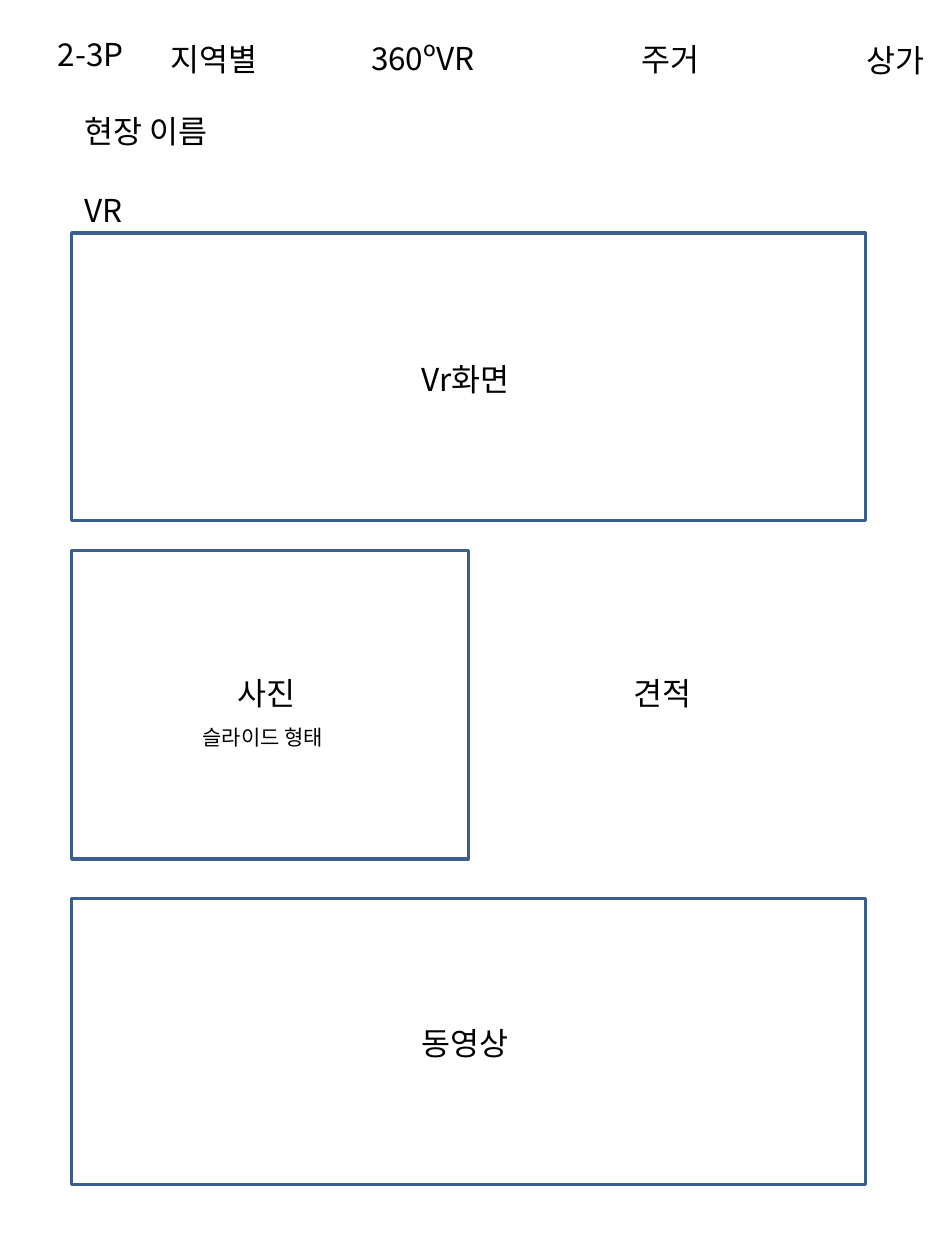
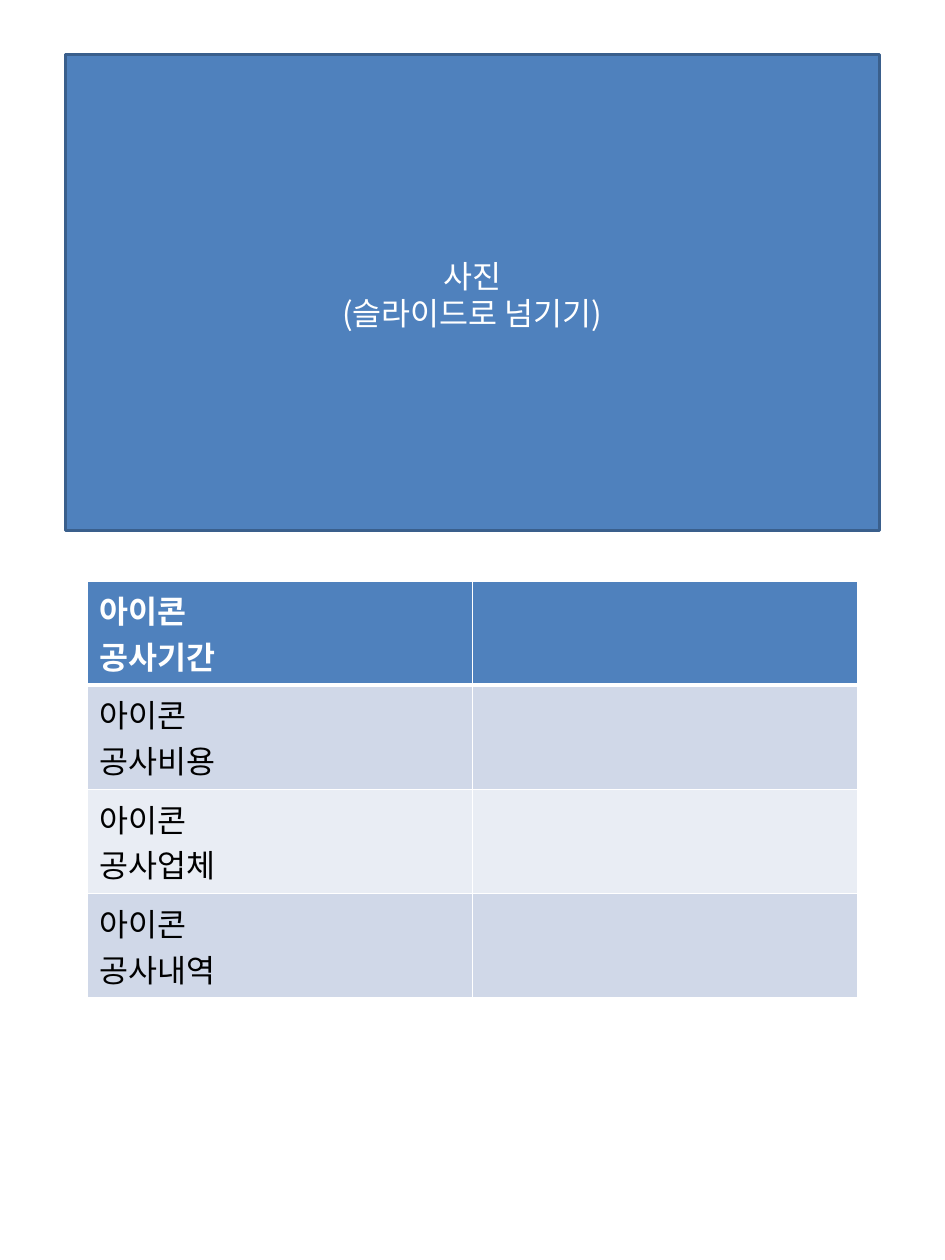
from pptx import Presentation
from pptx.dml.color import RGBColor
from pptx.enum.shapes import MSO_SHAPE
from pptx.enum.text import MSO_ANCHOR, MSO_AUTO_SIZE, PP_ALIGN
from pptx.oxml.ns import qn
from pptx.util import Pt
from lxml.etree import SubElement

FONT = "Noto Sans CJK KR"
BLACK = RGBColor(0x00, 0x00, 0x00)
WHITE = RGBColor(0xFF, 0xFF, 0xFF)
BLUE = RGBColor(0x4F, 0x81, 0xBD)
OUTLINE = RGBColor(0x3A, 0x5F, 0x8C)
BAND_DARK = RGBColor(0xD0, 0xD8, 0xE8)
BAND_LIGHT = RGBColor(0xE9, 0xED, 0xF4)

MARGIN = 41
PANEL_WIDTH = 453.6
LABEL_HEIGHT = 28.8
NAV_WIDTH = 195.1
FRAME_FORMAT = {
    "margin_left": Pt(7.2),
    "margin_right": Pt(7.2),
    "margin_top": Pt(5.6),
    "margin_bottom": Pt(2.4),
}


def write_lines(frame, lines, size=18, color=BLACK, bold=False, align=PP_ALIGN.LEFT, spacing=None):
    for index, line in enumerate(lines):
        paragraph = frame.paragraphs[0] if index == 0 else frame.add_paragraph()
        paragraph.alignment = align
        if spacing:
            paragraph.line_spacing = Pt(spacing)
        run = paragraph.add_run()
        run.text = line
        for key, value in {"name": FONT, "size": Pt(size), "bold": bold}.items():
            setattr(run.font, key, value)
        run.font.color.rgb = color
        SubElement(run.font._element, qn("a:ea"), typeface=FONT)


def format_frame(frame, **extra):
    for key, value in {**FRAME_FORMAT, **extra}.items():
        setattr(frame, key, value)


def add_label(shapes, left, top, width, text, size=18, wrap=False, align=PP_ALIGN.LEFT):
    height = LABEL_HEIGHT if size == 18 else 21.8
    frame = shapes.add_textbox(Pt(left), Pt(top), Pt(width), Pt(height)).text_frame
    format_frame(frame, word_wrap=wrap, auto_size=MSO_AUTO_SIZE.SHAPE_TO_FIT_TEXT)
    write_lines(frame, [text], size, align=align, spacing=round(size * 1.17))


def add_panel(shapes, box, fill=None):
    panel = shapes.add_shape(MSO_SHAPE.RECTANGLE, *map(Pt, box))
    panel.shadow.inherit = False
    if fill is None:
        panel.fill.background()
    else:
        panel.fill.solid()
        panel.fill.fore_color.rgb = fill
    panel.line.color.rgb = OUTLINE
    panel.line.width = Pt(2)
    return panel


def add_navigation(shapes, left, top):
    add_label(shapes, left, top - 2.9, 52.6, "2-3P")
    for offset, drop, menu in (
        (-1.5, 0, "지역별"),
        (118, -0.7, "360ºVR"),
        (388, 0.7, "상가"),
        (259.8, 0, "주거"),
    ):
        add_label(shapes, left + offset, top + drop, NAV_WIDTH, menu, wrap=True, align=PP_ALIGN.CENTER)


def add_vr_view(shapes, box):
    left, top = box[:2]
    add_panel(shapes, box)
    add_label(shapes, left + 193, top + 67.7, 68, "Vr화면", wrap=True)
    add_label(shapes, left, top - 74.2, 93.6, "현장 이름")
    add_label(shapes, left, top - LABEL_HEIGHT, 37.4, "VR")


def add_photo_view(shapes, box):
    left, top = box[:2]
    group = shapes.add_group_shape().shapes
    add_panel(group, box)
    add_label(group, left + 87.9, top + 65.5, 51.1, "사진")
    add_label(group, left + 67.7, top + 94.3, 91.4, "슬라이드 형태", size=12)


def add_video_view(shapes, box):
    left, top = box[:2]
    group = shapes.add_group_shape().shapes
    add_panel(group, box)
    add_label(group, left + 193, top + 67, 69.1, "동영상")


def add_photo_slider(shapes, box):
    frame = add_panel(shapes, box, BLUE).text_frame
    format_frame(frame, word_wrap=True, vertical_anchor=MSO_ANCHOR.MIDDLE)
    write_lines(frame, ["사진", "(슬라이드로 넘기기)"], color=WHITE, align=PP_ALIGN.CENTER, spacing=21)


def set_borders(cell, widths):
    properties = cell._tc.get_or_add_tcPr()
    for index, (side, width) in enumerate(widths.items()):
        line = properties.makeelement(qn(f"a:ln{side}"), {"w": str(Pt(width))})
        SubElement(SubElement(line, qn("a:solidFill")), qn("a:srgbClr"), val=str(WHITE))
        properties.insert(index, line)


def add_work_table(shapes, box):
    items = ["공사기간", "공사비용", "공사업체", "공사내역"]
    fills = [BLUE, BAND_DARK, BAND_LIGHT, BAND_DARK]
    table = shapes.add_table(len(items), 2, *map(Pt, box)).table
    for row, (item, fill) in enumerate(zip(items, fills)):
        table.rows[row].height = Pt(box[3] / len(items))
        header = row == 0
        for cell in table.rows[row].cells:
            cell.fill.solid()
            cell.fill.fore_color.rgb = fill
            set_borders(cell, {"L": 1, "R": 1, "T": 3 if row == 1 else 1, "B": 3 if header else 1})
        write_lines(table.cell(row, 0).text_frame, ["아이콘", item],
                    color=WHITE if header else BLACK, bold=header)


def build_site_page(shapes):
    add_vr_view(shapes, (MARGIN, 133.2, PANEL_WIDTH, 164.2))
    add_video_view(shapes, (MARGIN, 513.4, PANEL_WIDTH, 163.4))
    add_label(shapes, 355, 380.2, 51.1, "견적")
    add_photo_view(shapes, (MARGIN, 314.6, PANEL_WIDTH / 2, 176.4))
    add_navigation(shapes, 26, 18)


def build_detail_page(shapes):
    add_photo_slider(shapes, (37.4, 31, 465.1, 272.2))
    add_work_table(shapes, (49.7, 331.9, 440.6, 238.4))


def main():
    deck = Presentation()
    deck.slide_width, deck.slide_height = Pt(540), Pt(720)
    for build_page in (build_site_page, build_detail_page):
        build_page(deck.slides.add_slide(deck.slide_layouts[6]).shapes)
    deck.save("out.pptx")


if __name__ == "__main__":
    main()
